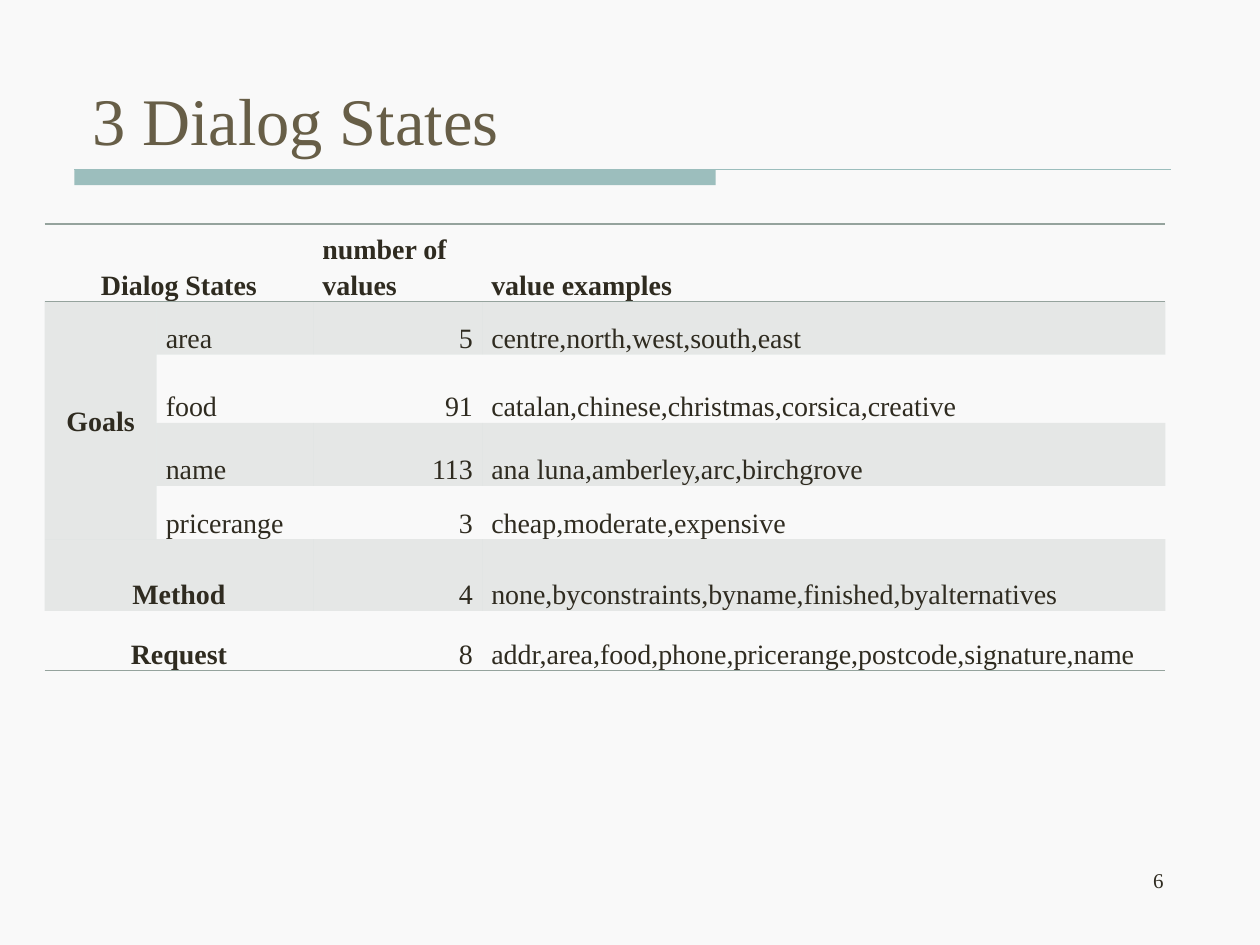
from lxml import etree
from pptx import Presentation
from pptx.dml.color import RGBColor
from pptx.enum import shapes, text
from pptx.oxml import ns
from pptx.util import Pt

FONT = "Times New Roman"
HEX = {"back": "F9F9F9", "title": "675E47", "text": "2F2B20",
       "bar": "9CBEBD", "band": "95A39D"}
RGB = {name: RGBColor.from_string(code) for name, code in HEX.items()}
LEFT, MID, RIGHT = text.PP_ALIGN.LEFT, text.PP_ALIGN.CENTER, text.PP_ALIGN.RIGHT


def write(para, words, size, color="text", bold=False, align=LEFT):
    para.alignment = align
    run = para.add_run()
    run.text = words
    run.font.name, run.font.size, run.font.bold = FONT, Pt(size), bold
    run.font.color.rgb = RGB[color]


def border(cell, side):
    props = cell._tc.get_or_add_tcPr()
    line = etree.Element(ns.qn("a:ln" + side), w=str(Pt(1)))
    fill = etree.SubElement(line, ns.qn("a:solidFill"))
    etree.SubElement(fill, ns.qn("a:srgbClr"), val=HEX["band"])
    # Borders must come before the fill, top before bottom
    props.insert(len(props.findall(ns.qn("a:lnT"))), line)


deck = Presentation()
deck.slide_width, deck.slide_height = Pt(720), Pt(540)
slide = deck.slides.add_slide(deck.slide_layouts[5])
slide.background.fill.solid()
slide.background.fill.fore_color.rgb = RGB["back"]

# Rule under the title: thick bar and thin line
bar = slide.shapes.add_shape(shapes.MSO_SHAPE.RECTANGLE,
                             Pt(42.5), Pt(97), Pt(366.5), Pt(8.75))
bar.shadow.inherit = False
bar.fill.solid()
bar.fill.fore_color.rgb = RGB["bar"]
bar.line.fill.background()
rule = slide.shapes.add_connector(shapes.MSO_CONNECTOR.STRAIGHT,
                                  Pt(42.5), Pt(97), Pt(669), Pt(97))
rule.line.color.rgb = RGB["bar"]
rule.line.width = Pt(0.75)
etree.SubElement(rule._element.spPr, ns.qn("a:effectLst"))

# Title
title = slide.shapes.title
title.left, title.top, title.width, title.height = Pt(45.5), Pt(24), Pt(630), Pt(70.5)
frame = title.text_frame
frame.auto_size = text.MSO_AUTO_SIZE.NONE
frame.vertical_anchor = text.MSO_ANCHOR.BOTTOM
write(frame.paragraphs[0], "3 Dialog States", 38, "title")

# Page number
page = slide.shapes.add_textbox(Pt(516), Pt(492), Pt(156), Pt(37.5))
page.text_frame.word_wrap = True
write(page.text_frame.paragraphs[0], "6", 12, align=RIGHT)

# Table of states
rows = [
    ("Dialog States", "", "number of values", "value examples"),
    ("Goals", "area", "5", "centre,north,west,south,east"),
    ("", "food", "91", "catalan,chinese,christmas,corsica,creative"),
    ("", "name", "113", "ana luna,amberley,arc,birchgrove"),
    ("", "pricerange", "3", "cheap,moderate,expensive"),
    ("Method", "", "4", "none,byconstraints,byname,finished,byalternatives"),
    ("Request", "", "8", "addr,area,food,phone,pricerange,postcode,signature,name"),
]
widths = [64, 89.5, 96.5, 390.5]
heights = [38.5, 30.5, 39, 36, 30.5, 41, 34]
last = len(rows) - 1
frame = slide.shapes.add_table(len(rows), len(widths), Pt(25.5), Pt(128),
                               Pt(sum(widths)), Pt(sum(heights)))
table = frame.table
table.first_row = table.horz_banding = False
style = table._tbl.tblPr.find(ns.qn("a:tableStyleId"))
style.text = "{2D5ABB26-0587-4C30-8999-92F81FD0307C}"  # no style, no grid
for col, width in zip(table.columns, widths):
    col.width = Pt(width)
for row, height in zip(table.rows, heights):
    row.height = Pt(height)
for r in (0, 5, 6):
    table.cell(r, 0).merge(table.cell(r, 1))
table.cell(1, 0).merge(table.cell(4, 0))

for r, row in enumerate(rows):
    for c, words in enumerate(row):
        cell = table.cell(r, c)
        goals = c == 0 and 1 <= r <= 4
        cell.margin_left = cell.margin_right = Pt(5.25)
        cell.margin_top = cell.margin_bottom = 0
        cell.vertical_anchor = text.MSO_ANCHOR.MIDDLE if goals else text.MSO_ANCHOR.BOTTOM
        if goals or r % 2:
            cell.fill.solid()
            cell.fill.fore_color.rgb = RGB["band"]
            tint = cell._tc.tcPr.find(".//" + ns.qn("a:srgbClr"))
            etree.SubElement(tint, ns.qn("a:alpha"), val="20000")
        else:
            cell.fill.background()
        if r == 0:
            border(cell, "T")
        if r in (0, last):
            border(cell, "B")
        if words:
            para = cell.text_frame.paragraphs[0]
            para.line_spacing = 1.15
            align = MID if c == 0 else RIGHT if c == 2 and r else LEFT
            write(para, words, 16, bold=r == 0 or c == 0, align=align)

deck.save("out.pptx")
